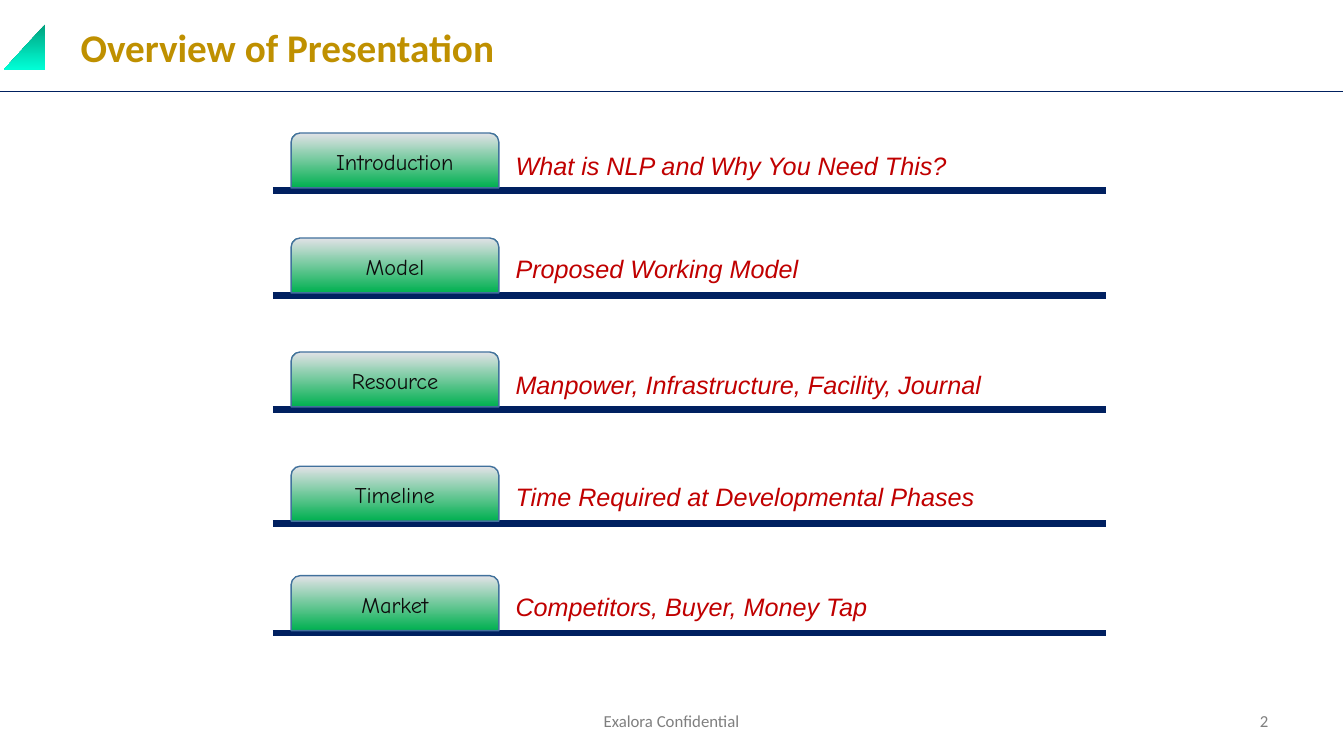
from dataclasses import dataclass

from lxml import etree
from pptx import Presentation
from pptx.dml.color import RGBColor
from pptx.enum.shapes import MSO_CONNECTOR, MSO_SHAPE
from pptx.enum.text import MSO_ANCHOR, MSO_AUTO_SIZE, PP_ALIGN
from pptx.oxml.ns import qn
from pptx.shapes.autoshape import Shape
from pptx.slide import Slide
from pptx.util import Pt

LEFT, CENTER, RIGHT = PP_ALIGN.LEFT, PP_ALIGN.CENTER, PP_ALIGN.RIGHT
TOP, MIDDLE = MSO_ANCHOR.TOP, MSO_ANCHOR.MIDDLE
STRAIGHT = MSO_CONNECTOR.STRAIGHT
RECTANGLE = MSO_SHAPE.RECTANGLE
RIGHT_TRIANGLE = MSO_SHAPE.RIGHT_TRIANGLE
TAB_SHAPE = MSO_SHAPE.ROUND_2_SAME_RECTANGLE
NO_AUTOSIZE = MSO_AUTO_SIZE.NONE


@dataclass(frozen=True)
class TextStyle:
    font: str
    size: float
    color: str
    bold: bool = False
    italic: bool = False


@dataclass(frozen=True)
class Theme:
    navy: str = "002060"
    white: str = "FFFFFF"
    tab_outline: str = "41719C"
    tab_gradient: tuple[str, str] = ("00B050", "E2E2E7")
    corner_gradient: tuple[str, str] = ("00A07D", "00FFD7")
    title: TextStyle = TextStyle("Calibri", 28, "BF9000", bold=True)
    label: TextStyle = TextStyle("Comic Neue", 16, "0D0D0D")
    description: TextStyle = TextStyle("Arial", 18, "C00000", italic=True)
    footer: TextStyle = TextStyle("Calibri", 12, "7F7F7F")


@dataclass(frozen=True)
class Box:
    left: float
    top: float
    width: float
    height: float

    def lengths(self) -> tuple[Pt, Pt, Pt, Pt]:
        return Pt(self.left), Pt(self.top), Pt(self.width), Pt(self.height)


@dataclass(frozen=True)
class Topic:
    """One agenda row; rise is how far the description box starts above the rule."""
    label: str
    description: str
    rule_y: float
    rise: float = 32.4
    height: float = 26.6


THEME = Theme()
SLIDE_WIDTH, SLIDE_HEIGHT = 960.48, 540
RULE_LEFT, RULE_RIGHT = 195.1, 790.6
TAB_LEFT, TAB_WIDTH, TAB_HEIGHT, TAB_RISE = 208, 148.5, 39.2, 41
DESCRIPTION_LEFT, DESCRIPTION_WIDTH = 361.4, 377.3
TOPICS = (
    Topic("Introduction", "What is NLP and Why You Need This?", 136, 32.4, 29),
    Topic("Model", "Proposed Working Model", 211),
    Topic("Resource", "Manpower, Infrastructure, Facility, Journal", 292.4, 41, 46),
    Topic("Timeline", "Time Required at Developmental Phases", 374),
    Topic("Market", "Competitors, Buyer, Money Tap", 452.2),
)


def write_text(shape: Shape, text: str, style: TextStyle,
               alignment: PP_ALIGN, anchor: MSO_ANCHOR) -> None:
    frame = shape.text_frame
    frame.word_wrap = True
    frame.auto_size = NO_AUTOSIZE
    frame.vertical_anchor = anchor
    frame.margin_left = frame.margin_right = Pt(7.2)
    frame.margin_top = frame.margin_bottom = Pt(3.6)
    paragraph = frame.paragraphs[0]
    paragraph.alignment = alignment
    run = paragraph.add_run()
    run.text = text
    run.font.name = style.font
    run.font.size = Pt(style.size)
    run.font.color.rgb = RGBColor.from_string(style.color)
    run.font.bold = style.bold
    run.font.italic = style.italic


def add_text(slide: Slide, box: Box, text: str, style: TextStyle,
             alignment: PP_ALIGN = LEFT, anchor: MSO_ANCHOR = MIDDLE) -> None:
    write_text(slide.shapes.add_textbox(*box.lengths()), text, style, alignment, anchor)


def add_rule(slide: Slide, left: float, right: float, y: float, weight: float) -> None:
    rule = slide.shapes.add_connector(STRAIGHT, Pt(left), Pt(y), Pt(right), Pt(y))
    rule.line.color.rgb = RGBColor.from_string(THEME.navy)
    rule.line.width = Pt(weight)
    etree.SubElement(rule._element.spPr, qn("a:effectLst"))


def add_plain_shape(slide: Slide, kind: MSO_SHAPE, box: Box, outline: str | None) -> Shape:
    shape = slide.shapes.add_shape(kind, *box.lengths())
    shape.shadow.inherit = False
    if outline is None:
        shape.line.fill.background()
    else:
        shape.line.color.rgb = RGBColor.from_string(outline)
        shape.line.width = Pt(1)
    return shape


def fill_gradient(shape: Shape, colors: tuple[str, str], angle: float) -> None:
    """Angle runs counter-clockwise on the slide, whatever the shape's rotation."""
    shape.fill.gradient()
    shape.fill.gradient_angle = angle
    for stop, color in zip(shape.fill.gradient_stops, colors):
        stop.color.rgb = RGBColor.from_string(color)
    shape._element.spPr.find(qn("a:gradFill")).set("rotWithShape", "0")


def add_topic(slide: Slide, topic: Topic) -> None:
    add_rule(slide, RULE_LEFT, RULE_RIGHT, topic.rule_y, 4.5)
    description_box = Box(DESCRIPTION_LEFT, topic.rule_y - topic.rise,
                          DESCRIPTION_WIDTH, topic.height)
    add_text(slide, description_box, topic.description, THEME.description)
    tab_box = Box(TAB_LEFT, topic.rule_y - TAB_RISE, TAB_WIDTH, TAB_HEIGHT)
    tab = add_plain_shape(slide, TAB_SHAPE, tab_box, THEME.tab_outline)
    fill_gradient(tab, THEME.tab_gradient, 90)
    write_text(tab, topic.label, THEME.label, CENTER, MIDDLE)


def add_header(slide: Slide) -> None:
    add_rule(slide, 0, 960, 64.8, 2.25)
    band = add_plain_shape(slide, RECTANGLE, Box(0, 56.9, 960, 7.9), THEME.white)
    band.fill.solid()
    band.fill.fore_color.rgb = RGBColor.from_string(THEME.white)

    title = slide.shapes.title
    title.left, title.top, title.width, title.height = Box(50.4, 13.7, 549.4, 43.2).lengths()
    write_text(title, "Overview of Presentation", THEME.title, LEFT, MIDDLE)
    title.text_frame.paragraphs[0].line_spacing = 0.9

    corner = add_plain_shape(slide, RIGHT_TRIANGLE, Box(1.4, 18.7, 32.4, 29.5), None)
    corner.rotation = 270
    fill_gradient(corner, THEME.corner_gradient, 270)


def add_footer(slide: Slide) -> None:
    add_text(slide, Box(293.8, 504, 372.2, 19.4), "Exalora Confidential",
             THEME.footer, CENTER, TOP)
    add_text(slide, Box(743, 504, 170.6, 19.4), "2", THEME.footer, RIGHT, TOP)


def main() -> None:
    presentation = Presentation()
    presentation.slide_width = Pt(SLIDE_WIDTH)
    presentation.slide_height = Pt(SLIDE_HEIGHT)
    slide = presentation.slides.add_slide(presentation.slide_layouts.get_by_name("Title Only"))
    add_header(slide)
    for topic in TOPICS:
        add_topic(slide, topic)
    add_footer(slide)
    presentation.save("out.pptx")


if __name__ == "__main__":
    main()
